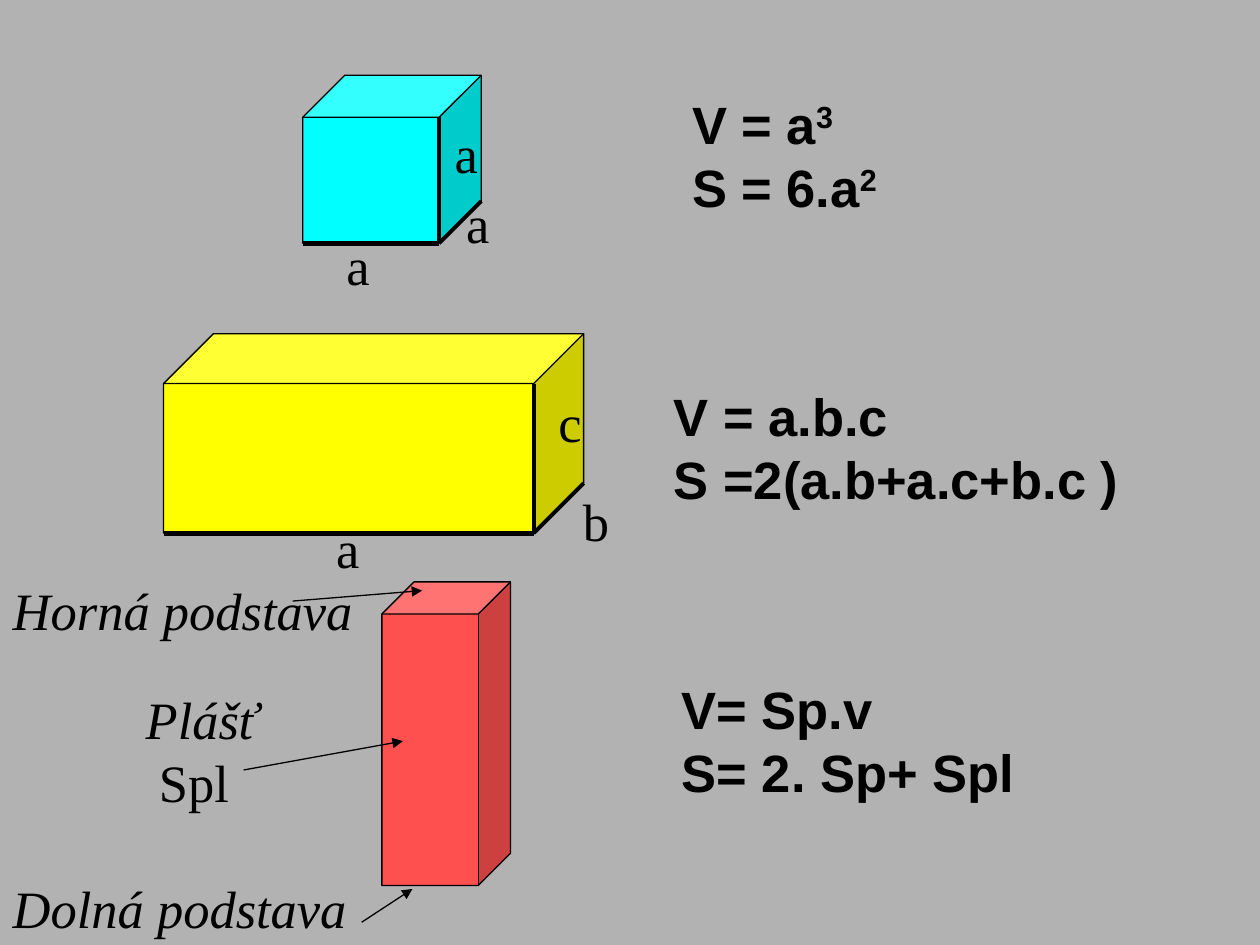
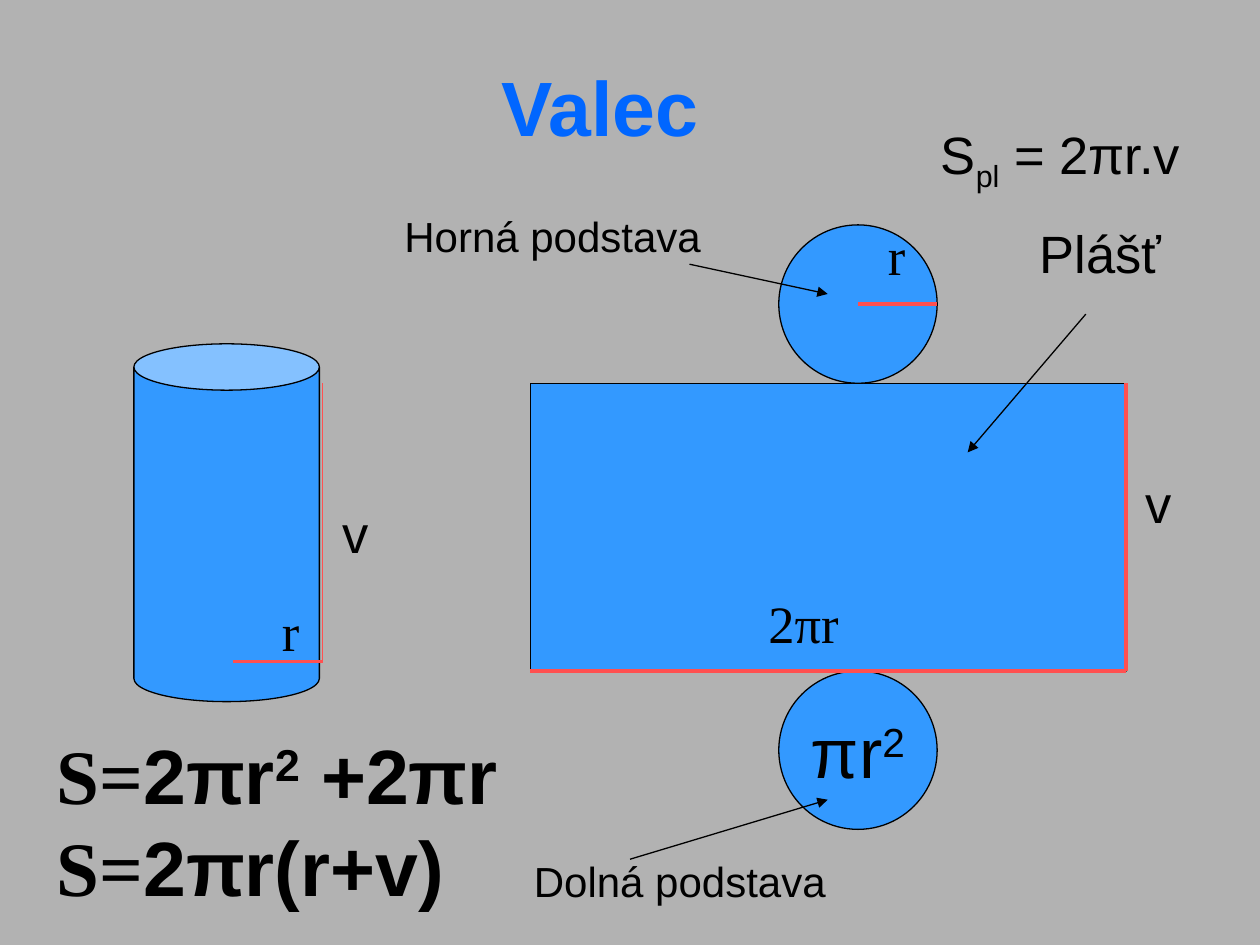
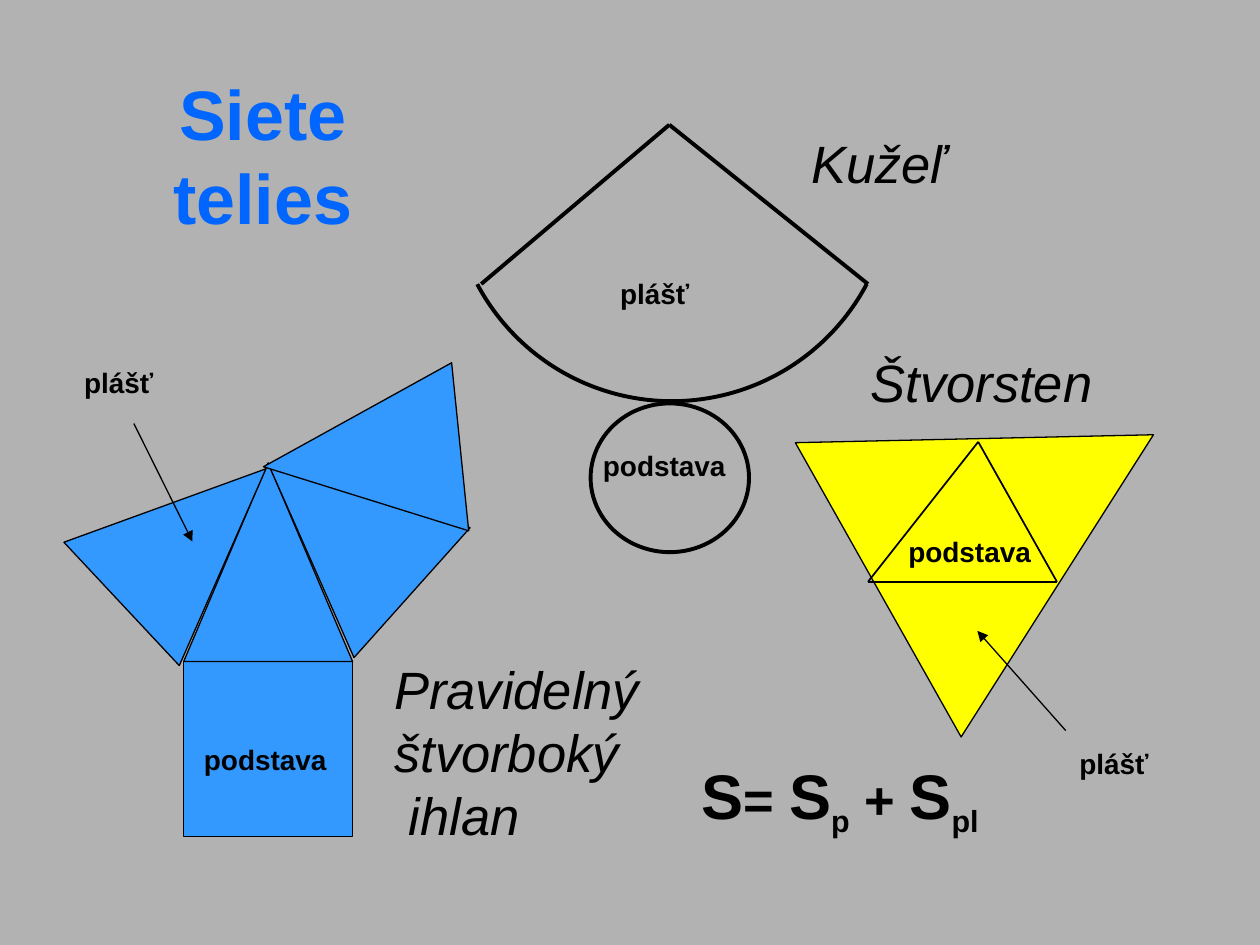
import pptx
import pptx.util
import pptx.dml.color
import pptx.enum.shapes
import pptx.enum.text
import pptx.oxml.ns
import lxml.etree

Pt = pptx.util.Pt
SHAPE = pptx.enum.shapes.MSO_SHAPE
ANCHOR = pptx.enum.text.MSO_ANCHOR
ALIGN = pptx.enum.text.PP_ALIGN

GREY, BLACK, TITLE = "B2B2B2", "000000", "0066FF"
BLUE, CYAN, YELLOW, RED = "3399FF", "00FFFF", "FFFF00", "FF5050"
SANS, SERIF = "Arial", "Times New Roman"
SUP, SUB = {"base": 30}, {"base": -25}


def rgb(hex_):
    return pptx.dml.color.RGBColor.from_string(hex_)


# ---- Shared parts ----
def new_slide(prs):
    sl = prs.slides.add_slide(prs.slide_layouts[6])
    sl.background.fill.solid()
    sl.background.fill.fore_color.rgb = rgb(GREY)
    return sl


def write(tf, paras, size=30, font=SANS, color=BLACK, bold=False,
          italic=False, align=ALIGN.LEFT, indent_last=0):
    """Each paragraph is a string or a list of (text, overrides) runs."""
    for i, runs in enumerate(paras):
        p = tf.add_paragraph() if i else tf.paragraphs[0]
        p.alignment = align
        if indent_last and i == len(paras) - 1:
            pPr = p._p.get_or_add_pPr()
            pPr.set("marL", str(Pt(indent_last)))
            pPr.set("indent", "0")
        for text, own in [(runs, {})] if isinstance(runs, str) else runs:
            r = p.add_run()
            r.text = text
            r.font.size = Pt(own.get("size", size))
            r.font.name = own.get("font", font)
            r.font.bold = bold
            r.font.italic = own.get("italic", italic)
            r.font.color.rgb = rgb(color)
            if "base" in own:
                r._r.get_or_add_rPr().set("baseline", str(own["base"] * 1000))


def label(sl, x, y, w, h, paras, anchor=ANCHOR.TOP, **style):
    sp = sl.shapes.add_textbox(Pt(x), Pt(y), Pt(w), Pt(h))
    tf = sp.text_frame
    tf.word_wrap = True
    tf.vertical_anchor = anchor
    write(tf, paras, **style)
    return sp


def title(sl, x, y, w, h, paras, size):
    return label(sl, x, y, w, h, paras, anchor=ANCHOR.MIDDLE, size=size,
                 color=TITLE, bold=True, align=ALIGN.CENTER)


def shape(sl, kind, x, y, w, h, fill=None, width=0.75, rot=0):
    sp = sl.shapes.add_shape(kind, Pt(x), Pt(y), Pt(w), Pt(h))
    sp.shadow.inherit = False
    sp.rotation = rot
    if fill:
        sp.fill.solid()
        sp.fill.fore_color.rgb = rgb(fill)
    else:
        sp.fill.background()
    sp.line.color.rgb = rgb(BLACK)
    sp.line.width = Pt(width)
    return sp


def line(sl, x1, y1, x2, y2, color=BLACK, width=0.75, arrow=False):
    cx = sl.shapes.add_connector(pptx.enum.shapes.MSO_CONNECTOR.STRAIGHT,
                                 Pt(x1), Pt(y1), Pt(x2), Pt(y2))
    cx.line.color.rgb = rgb(color)
    cx.line.width = Pt(width)
    qn = pptx.oxml.ns.qn
    if arrow:
        lxml.etree.SubElement(cx.line._get_or_add_ln(), qn("a:tailEnd"), type="triangle")
    lxml.etree.SubElement(cx._element.spPr, qn("a:effectLst"))


def dot(sl, x, y):
    line(sl, x, y, x, y)


def arrow(sl, x, y, start, end):
    line(sl, x + start[0], y + start[1], x + end[0], y + end[1], arrow=True)


# ---- Slide 1: box solids ----
def edged_box(sl, x, y, w, h, fill, edge_labels):
    """Cuboid with its three measured edges drawn heavy."""
    shape(sl, SHAPE.CUBE, x, y, w, h, fill)
    for text, dx, dy in edge_labels:
        label(sl, x + dx, y + dy, 32, 43, [text], font=SERIF)
    depth = min(w, h) / 4
    corner_x, bottom = x + w - depth, y + h
    line(sl, x, bottom, corner_x, bottom, width=3)
    line(sl, x + w, bottom - depth, corner_x, bottom, width=2.25)
    line(sl, corner_x, y + depth, corner_x, bottom, width=2.25)


def prism(sl, x, y, w, h):
    shape(sl, SHAPE.CUBE, x, y, w, h, RED)
    for dy, name in [(164.5, "Dolná podstava"), (-5.5, "Horná podstava")]:
        label(sl, x - 218, y + dy, 212, 43, [name], font=SERIF, italic=True)
    label(sl, x - 142, y + 56.5, 85, 79, ["Plášť", [("Spl", {"italic": False})]],
          font=SERIF, italic=True, indent_last=7.5)
    for start, end in [((-11.5, 194.5), (17.5, 175.5)),
                       ((-51, 11), (23, 5)), ((-79, 107.5), (12, 91))]:
        arrow(sl, x, y, start, end)


def solids_slide(prs):
    sl = new_slide(prs)
    edged_box(sl, 173, 43, 102, 96, CYAN,
              [("a", 17.8, 86.6), ("a", 86.2, 62.7), ("a", 79.7, 22.7)])
    dot(sl, 241, 65.5)
    edged_box(sl, 93.5, 190.7, 240, 114, YELLOW,
              [("a", 91.5, 100.5), ("b", 232.5, 85), ("c", 218.5, 28.5)])
    prism(sl, 218.2, 332.5, 73.5, 173.5)
    for x, y, w, paras in [
            (388.4, 49, 174, [[("V = a", {}), ("3", SUP)], [("S = 6.a", {}), ("2", SUP)]]),
            (378, 216, 300, ["V = a.b.c", "S =2(a.b+a.c+b.c )"]),
            (382.5, 383.4, 227, ["V= Sp.v", "S= 2. Sp+ Spl"])]:
        label(sl, x, y, w, 79, paras, bold=True)


# ---- Slide 2: cylinder ----
def cylinder(sl, x, y, w, h):
    shape(sl, SHAPE.CAN, x, y, w, h, BLUE)
    side, foot = x + w + 2, y + h - 23
    line(sl, x + w / 2 + 3.5, foot, side, foot, RED, 2.25)
    line(sl, side, y + 22.5, side, foot, RED)
    label(sl, x + 77.5, y + 142.5, 27, 43, ["r"], font=SERIF)
    label(sl, x + 112, y + 86.5, 32, 43, ["v"])


def cylinder_net(sl, x, y, w, h):
    # Unrolled side and the two bases
    d, base_x = 90.5, x + 142
    shape(sl, SHAPE.RECTANGLE, x, y, w, h, BLUE)
    lower = shape(sl, SHAPE.OVAL, base_x, y + h, d, d, BLUE)
    lower.text_frame.word_wrap = False
    lower.text_frame.vertical_anchor = ANCHOR.MIDDLE
    write(lower.text_frame, [[("πr", {}), ("2", SUP)]], size=40, align=ALIGN.CENTER)
    shape(sl, SHAPE.OVAL, base_x, y - d, d, d, BLUE)

    # Measured lengths
    line(sl, x, y + h, x + w, y + h, RED, 2.25)
    line(sl, x + w, y, x + w, y + h, RED, 2.25)
    line(sl, base_x + d / 2, y - d / 2, base_x + d, y - d / 2, RED, 2.25)
    label(sl, x + 129, y + 115, 60, 43, ["2πr"], font=SERIF)
    label(sl, x + 197.2, y - 95, 27, 43, ["r"], font=SERIF)
    label(sl, x + 344.7, y + 46.5, 32, 43, ["v"])

    # Names of the parts
    for start, end in [((317.5, -39.5), (250, 39.5)),
                       ((57, 272), (170, 238)), ((91, -68), (170, -51))]:
        arrow(sl, x, y, start, end)
    label(sl, x + 227.5, y - 153, 171, 48, [[("S", {}), ("pl", SUB), (" = 2πr.v", {})]])
    label(sl, x + 284, y - 96.5, 112, 43, ["Plášť"])
    label(sl, x - 79, y - 102.5, 188, 36, ["Horná podstava"], size=24)
    label(sl, x - 5, y + 266.5, 185, 36, ["Dolná podstava"], size=24)


def cylinder_slide(prs):
    sl = new_slide(prs)
    sp = title(sl, 88, 26.2, 510, 68, ["Valec"], 44)
    sp.fill.solid()
    sp.fill.fore_color.rgb = rgb(GREY)
    dot(sl, 167, 116.5)
    cylinder(sl, 76.5, 196.5, 106, 204.5)
    cylinder_net(sl, 303, 219, 340.5, 164.4)
    lead = ("S=", {"font": SERIF})
    sp = label(sl, 25.2, 412, 278, 113,
               [[lead, ("2πr", {}), ("2", SUP), (" +2πr", {})],
                [lead, ("2πr(r+v)", {})]], size=44, bold=True)
    sp.line.color.rgb = rgb(GREY)
    sp.line.width = Pt(0.75)


# ---- Slide 3: nets ----
def part_name(sl, x, y, text):
    label(sl, x, y, 92, 26.5, [text], size=16, bold=True)


def solid_name(sl, x, y, w, h, paras, **style):
    label(sl, x, y, w, h, paras, italic=True, **style)


def tetrahedron_net(sl, x, y, w, h):
    shape(sl, SHAPE.ISOSCELES_TRIANGLE, x, y, w, h, YELLOW, rot=60.6)
    top, left, right = (x + 75, y + 50), (x + 12, y + 130), (x + 120, y + 130)
    for a, b in [(top, left), (top, right), (left, right)]:
        line(sl, *a, *b, width=1)
    solid_name(sl, x + 6.5, y - 6, 145, 43, ["Štvorsten"])
    part_name(sl, x + 28, y + 99.4, "podstava")
    arrow(sl, x, y, (125, 215), (74.5, 158))
    part_name(sl, x + 125.7, y + 220.5, "plášť")


def pyramid_net(sl, x, y, w, h):
    """The box is the square base; the side faces fan out above it."""
    shape(sl, SHAPE.RECTANGLE, x, y, w, h, BLUE)
    for dx, dy, fw, fh, rot in [(0, -113.5, w, 113.5, 0), (39.7, -131, 99.5, 110, 311.8),
                                (53.5, -173.5, w, 113, 264.2),
                                (-42.5, -128, w, 113, 46.9)]:
        shape(sl, SHAPE.ISOSCELES_TRIANGLE, x + dx, y + dy, fw, fh, BLUE, rot=rot)
    solid_name(sl, x + 113.2, y - 6, 215, 115, ["Pravidelný", "štvorboký", "ihlan"],
               indent_last=8.3)
    part_name(sl, x + 4.5, y + 43, "podstava")
    arrow(sl, x, y, (-28.5, -136), (5, -68.5))
    part_name(sl, x - 64, y - 172.7, "plášť")


def cone_net(sl, x, y, radius):
    """x, y is the tip of the sector."""
    arc = shape(sl, SHAPE.ARC, x + 1.5 - radius, y + 32 - radius,
                2 * radius, 2 * radius, width=2.25)
    for i, degrees in enumerate((28, 152)):
        arc.adjustments[i] = degrees * 0.6
    for dx in (-107.5, 113.5):
        line(sl, x, y, x + dx, y + 91, width=2.25)
    shape(sl, SHAPE.OVAL, x - 45, y + 159.2, 90.5, 85, GREY, 2.25)
    solid_name(sl, x + 74, y + 0.3, 102, 43, ["Kužeľ"])
    part_name(sl, x - 45, y + 181.7, "podstava")
    part_name(sl, x - 35.2, y + 83.2, "plášť")


def nets_slide(prs):
    sl = new_slide(prs)
    title(sl, 31.2, 43, 238, 90, ["Siete", "telies"], 40)
    tetrahedron_net(sl, 484, 202.5, 193, 180.5)
    pyramid_net(sl, 105, 378, 96.5, 100)
    cone_net(sl, 382.5, 71.3, 126)
    big = {"size": 36}
    label(sl, 394, 428.5, 227, 54,
          [[("S", big), ("= ", {}), ("S", big), ("p", SUB),
            (" + ", {}), ("S", big), ("pl", SUB)]], bold=True)


def main():
    prs = pptx.Presentation()
    prs.slide_width, prs.slide_height = Pt(720), Pt(540)
    solids_slide(prs)
    cylinder_slide(prs)
    nets_slide(prs)
    prs.save("out.pptx")


if __name__ == "__main__":
    main()
